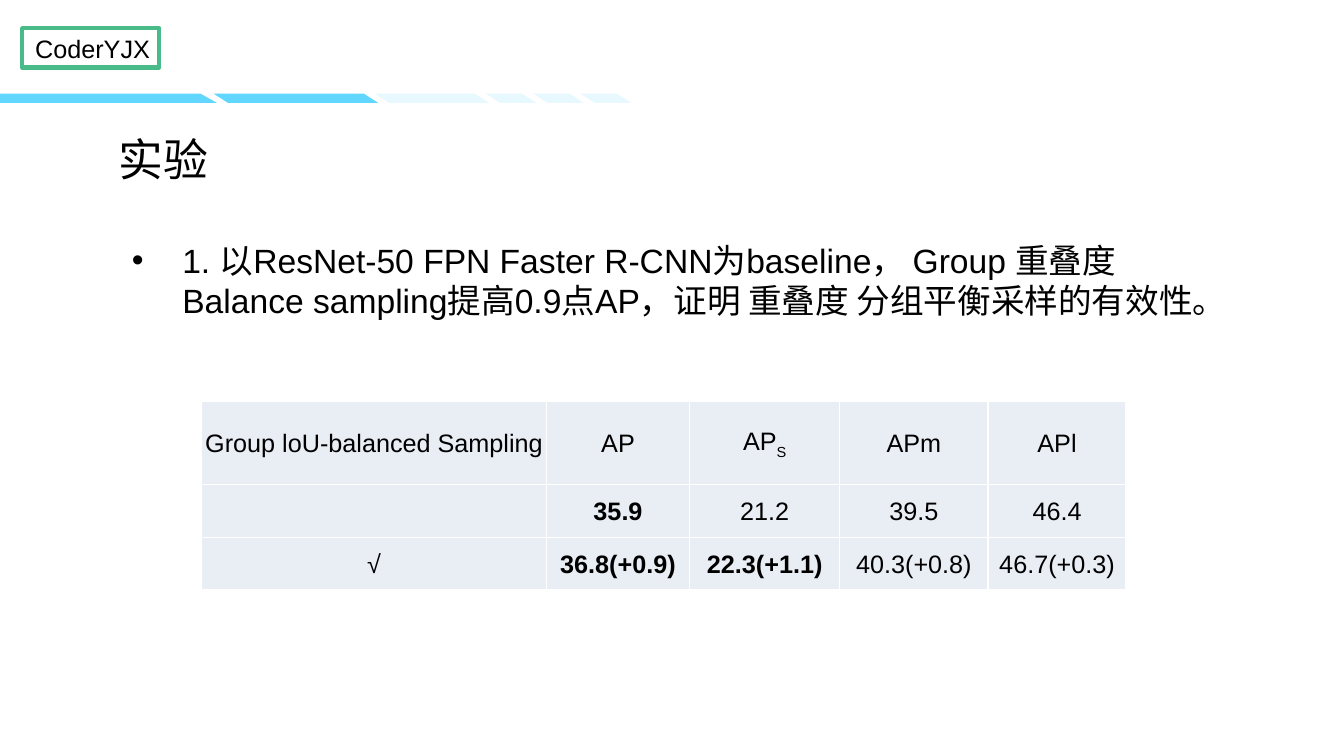
from lxml import etree
from pptx import Presentation
from pptx.dml.color import RGBColor
from pptx.enum import shapes, text
from pptx.oxml import ns
from pptx.util import Inches, Pt

SKY = "61D6FE"
BAR_TOP, BAR_BOTTOM = 0.93, 1.02
SOLID_BARS = [(0, 1.99, 0, 2.15), (2.12, 3.61, 2.26, 3.75)]
PALE_BARS = [(3.72, 4.71, 3.86, 4.85)] + [
    (x, x + 0.36, x + 0.14, x + 0.5) for x in (4.82, 5.29, 5.76)]

COLUMNS = [3.42, 1.42, 1.49, 1.47, 1.37]
ROWS = [0.83, 0.52, 0.52]
RESULTS = [
    ["Group loU-balanced Sampling", "AP", "AP", "APm", "APl"],
    ["", "35.9", "21.2", "39.5", "46.4"],
    ["√", "36.8(+0.9)", "22.3(+1.1)", "40.3(+0.8)", "46.7(+0.3)"],
]
BOLD = {"35.9", "36.8(+0.9)", "22.3(+1.1)"}


def color(value):
    return RGBColor.from_string(value)


def sub(parent, tag, **attrs):
    return etree.SubElement(parent, ns.qn(tag), attrs)


def style(p, size, font="Arial", bold=False):
    p.font.size = Pt(size)
    p.font.name = font
    p.font.bold = bold
    p.font.color.rgb = color("000000")


def add_bars(s, bars, alpha=None):
    fb = None
    for left, right, bottom_left, bottom_right in bars:
        start = Inches(bottom_right), Inches(BAR_BOTTOM)
        if fb is None:
            fb = s.shapes.build_freeform(*start)
        else:
            fb.move_to(*start)
        corners = [(right, BAR_TOP), (left, BAR_TOP), (bottom_left, BAR_BOTTOM)]
        fb.add_line_segments([(Inches(x), Inches(y)) for x, y in corners], close=True)
    sp = fb.convert_to_shape()
    sp.shadow.inherit = False
    sp.fill.solid()
    sp.fill.fore_color.rgb = color(SKY)
    sp.line.fill.background()
    if alpha:
        for clr in sp.fill._xPr.iter(ns.qn("a:srgbClr")):
            sub(clr, "a:alpha", val=str(alpha * 1000))


def add_frame(s, box):
    sp = s.shapes.add_shape(shapes.MSO_SHAPE.RECTANGLE, *map(Inches, box))
    sp.shadow.inherit = False
    sp.fill.background()
    sp.line.color.rgb = color("49BB88")
    sp.line.width = Pt(3)


def add_text(s, box, words, size, font="Arial", bullet=False,
             anchor=text.MSO_ANCHOR.TOP):
    tf = s.shapes.add_textbox(*map(Inches, box)).text_frame
    tf.word_wrap = True
    tf.vertical_anchor = anchor
    p = tf.paragraphs[0]
    p.text = words
    if bullet:
        pPr = p._p.get_or_add_pPr()
        pPr.set("marL", str(Inches(0.5)))
        pPr.set("indent", str(-Inches(0.5)))
        sub(pPr, "a:buFont", typeface="Arial")
        sub(pPr, "a:buChar", char="•")
    style(p, size, font)


def add_borders(cell):
    tcPr = cell._tc.get_or_add_tcPr()
    for side in "LRTB":
        ln = sub(tcPr, "a:ln" + side, w=str(Pt(1)))
        sub(sub(ln, "a:solidFill"), "a:srgbClr", val="FFFFFF")


def fill_cell(cell, words):
    add_borders(cell)
    cell.fill.solid()
    cell.fill.fore_color.rgb = color("E9EDF4")
    cell.margin_left = cell.margin_right = cell.margin_top = Inches(0.02)
    cell.margin_bottom = 0
    cell.vertical_anchor = text.MSO_ANCHOR.MIDDLE
    p = cell.text_frame.paragraphs[0]
    p.text = words
    p.alignment = text.PP_ALIGN.CENTER
    style(p, 18, bold=words in BOLD)


def add_results(s):
    frame = s.shapes.add_table(len(ROWS), len(COLUMNS), Inches(2), Inches(3.98),
                               Inches(sum(COLUMNS)), Inches(sum(ROWS)))
    table = frame.table
    for column, width in zip(table.columns, COLUMNS):
        column.width = Inches(width)
    for row, height, values in zip(table.rows, ROWS, RESULTS):
        row.height = Inches(height)
        for cell, words in zip(row.cells, values):
            fill_cell(cell, words)
    r = table.cell(0, 2).text_frame.paragraphs[0].add_run()
    r.text = "S"
    r.font._element.set("baseline", "-25000")


def main():
    prs = Presentation()
    prs.slide_width, prs.slide_height = Inches(13.33), Inches(7.5)
    s = prs.slides.add_slide(prs.slide_layouts[6])
    add_bars(s, SOLID_BARS)
    add_bars(s, PALE_BARS, alpha=15)
    add_frame(s, (0.22, 0.28, 1.36, 0.39))
    add_text(s, (0.25, 0.28, 5.08, 0.31), "CoderYJX", 18)
    add_text(s, (1.08, 1.25, 2.75, 0.64), "实验", 32, "Noto Sans CJK SC",
             anchor=text.MSO_ANCHOR.MIDDLE)
    add_text(s, (1.21, 2.33, 10.92, 0.44),
             "1. 以ResNet-50 FPN Faster R-CNN为baseline， Group 重叠度 "
             "Balance sampling提高0.9点AP，证明 重叠度 分组平衡采样的有效性。",
             24, bullet=True)
    add_results(s)
    prs.save("out.pptx")


if __name__ == "__main__":
    main()
